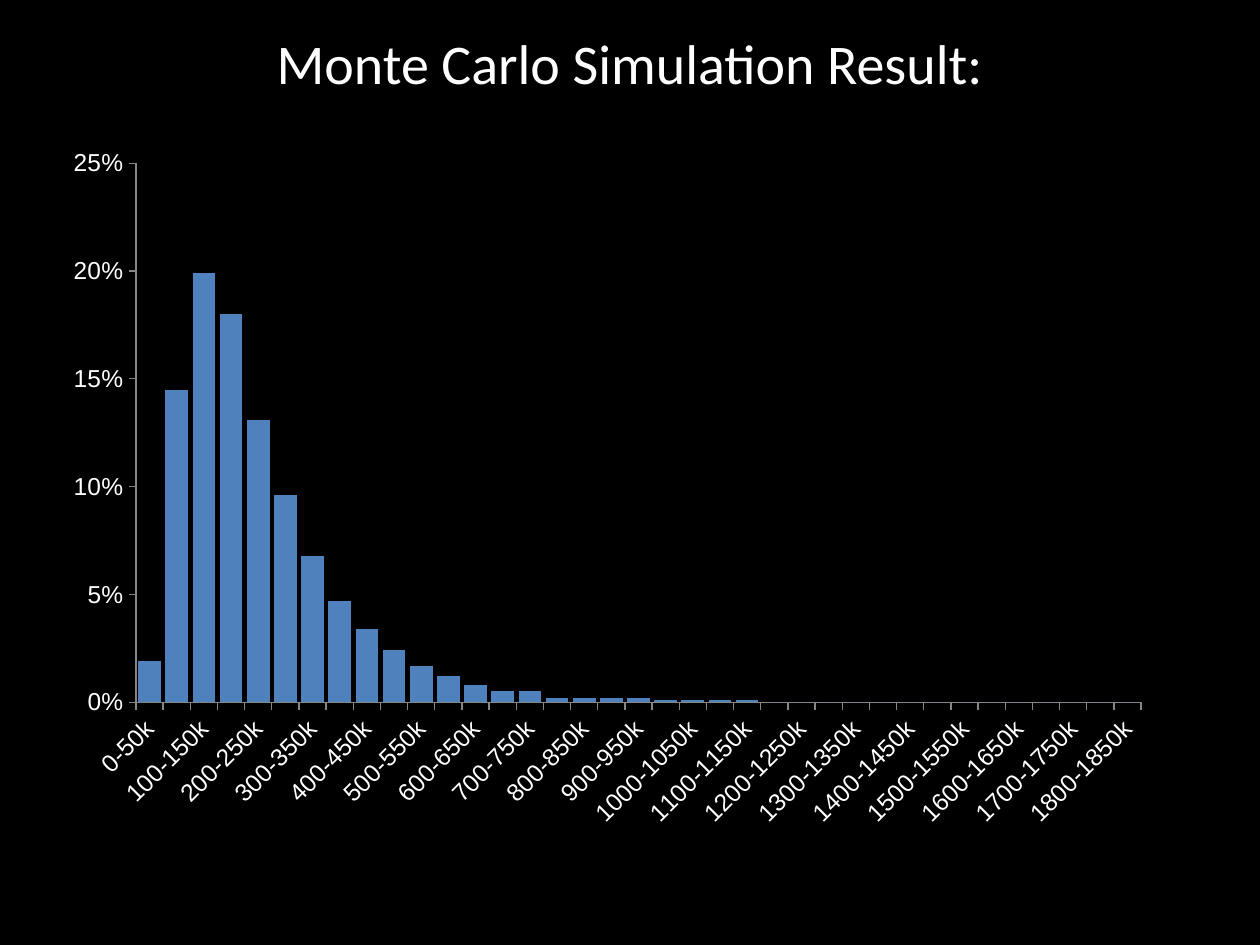
from lxml import etree
from pptx import Presentation
from pptx.chart.data import CategoryChartData
from pptx.dml.color import RGBColor
from pptx.enum import chart as ch, text
from pptx.util import Inches, Pt

HUES = {"back": "000000", "text": "FFFFFF", "bar": "4F81BD", "axis": "868686"}
STEP = 50
RATES = [0.019, 0.145, 0.199, 0.18, 0.131, 0.096, 0.068, 0.047, 0.034,
         0.024, 0.017, 0.012, 0.008, 0.005, 0.005, 0.002, 0.002, 0.002,
         0.002, 0.001, 0.001, 0.001, 0.001] + [0] * 14
PLOT = {"x": 0.094, "y": 0.037, "w": 0.825, "h": 0.734}


def hue(name):
    return RGBColor.from_string(HUES[name])


def style(font, face, size):
    font.name = face
    font.size = Pt(size)
    font.color.rgb = hue("text")


def add_title(slide, box):
    title = slide.shapes.title
    title.left, title.top, title.width, title.height = box
    frame = title.text_frame
    frame.text = "Monte Carlo Simulation Result:"
    frame.word_wrap = True
    frame.auto_size = text.MSO_AUTO_SIZE.SHAPE_TO_FIT_TEXT
    frame.vertical_anchor = text.MSO_ANCHOR.MIDDLE
    para = frame.paragraphs[0]
    para.alignment = text.PP_ALIGN.CENTER
    style(para.runs[0].font, "Calibri", 32)


def set_axis(axis):
    axis.has_major_gridlines = False
    axis.major_tick_mark = ch.XL_TICK_MARK.OUTSIDE
    axis.minor_tick_mark = ch.XL_TICK_MARK.NONE
    axis.format.line.color.rgb = hue("axis")
    axis.format.line.width = Pt(0.75)
    style(axis.tick_labels.font, "Arial", 14)


def set_plot(chart):
    area = chart._chartSpace.chart.plotArea
    space = area.nsmap["c"]
    for old in area.findall(f"{{{space}}}layout"):
        area.remove(old)
    parts = [("layoutTarget", "inner"), ("xMode", "edge"), ("yMode", "edge")]
    parts += PLOT.items()
    layout = etree.Element(f"{{{space}}}layout")
    manual = etree.SubElement(layout, f"{{{space}}}manualLayout")
    for tag, val in parts:
        etree.SubElement(manual, f"{{{space}}}{tag}", val=str(val))
    area.insert(0, layout)


def slant(axis):
    body = axis.tick_labels.font._element.getparent().getparent().getparent().bodyPr
    body.set("rot", "-2700000")
    body.set("vert", "horz")
    skip = etree.Element(f"{{{axis._element.nsmap['c']}}}tickLblSkip", val="2")
    axis._element.find("{*}noMultiLvlLbl").addprevious(skip)


def add_bars(slide, box):
    data = CategoryChartData(number_format="0%")
    data.categories = [f"{i * STEP}-{(i + 1) * STEP}k" for i in range(len(RATES))]
    data.add_series("Series 1", RATES)
    chart = slide.shapes.add_chart(ch.XL_CHART_TYPE.COLUMN_CLUSTERED, *box, data).chart
    chart.has_legend = chart.has_title = False
    chart.font.name = "Calibri"
    chart.font.size = Pt(10)
    plot = chart.plots[0]
    plot.gap_width = 20
    plot.vary_by_categories = False
    fill = plot.series[0].format.fill
    fill.solid()
    fill.fore_color.rgb = hue("bar")
    for axis in (chart.category_axis, chart.value_axis):
        set_axis(axis)
    slant(chart.category_axis)
    values = chart.value_axis
    values.minimum_scale, values.maximum_scale, values.major_unit = 0, 0.25, 0.05
    values.tick_labels.number_format = "0%"
    values.tick_labels.number_format_is_linked = False
    set_plot(chart)


def main():
    deck = Presentation()
    deck.slide_width, deck.slide_height = Inches(10), Inches(7.5)
    slide = deck.slides.add_slide(deck.slide_layouts[5])
    fill = slide.background.fill
    fill.solid()
    fill.fore_color.rgb = hue("back")
    add_title(slide, [Inches(n) for n in (1.99, 0.17, 6.02, 0.64)])
    add_bars(slide, [Inches(n) for n in (0.17, 1.08, 9.67, 5.83)])
    deck.save("out.pptx")


if __name__ == "__main__":
    main()
